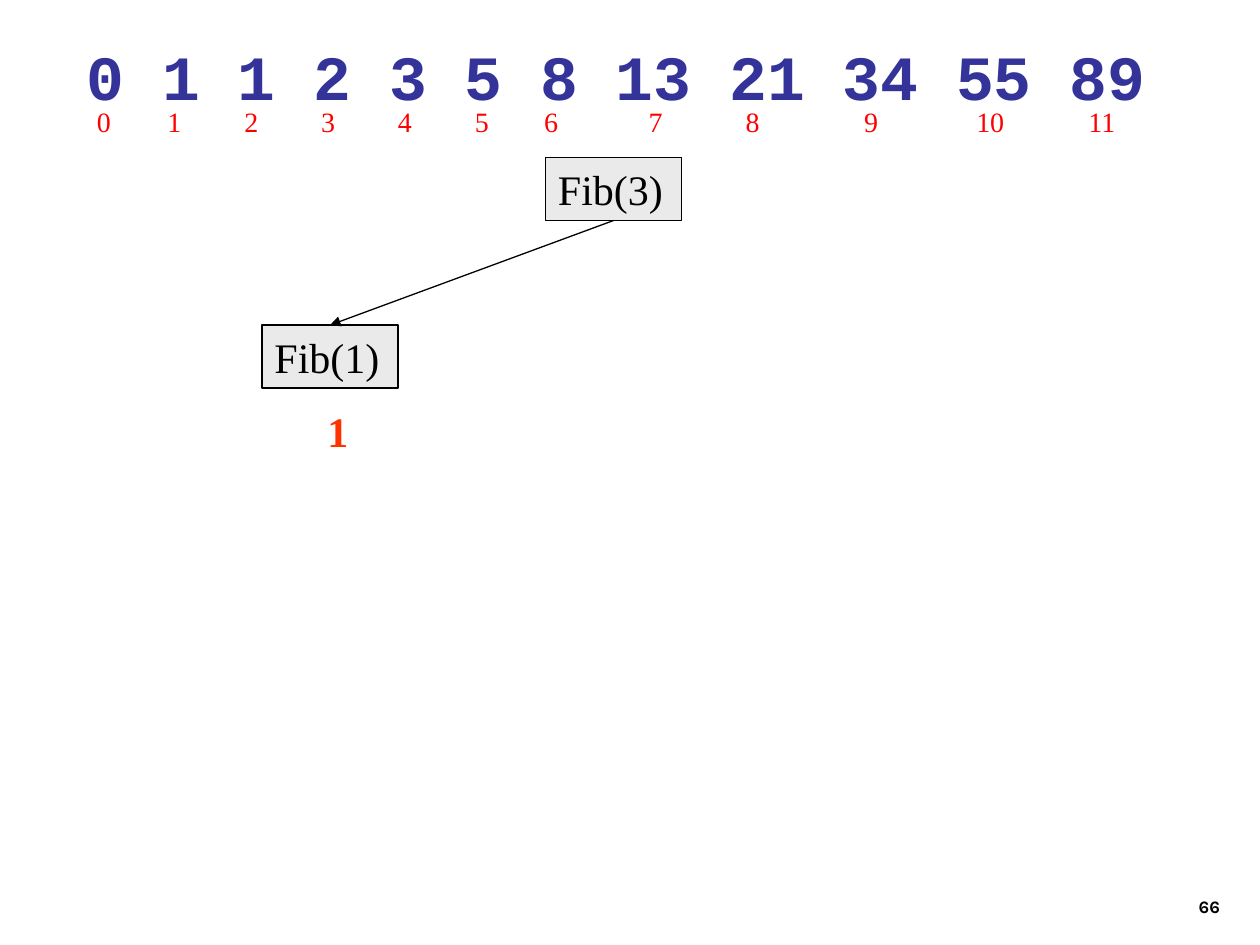
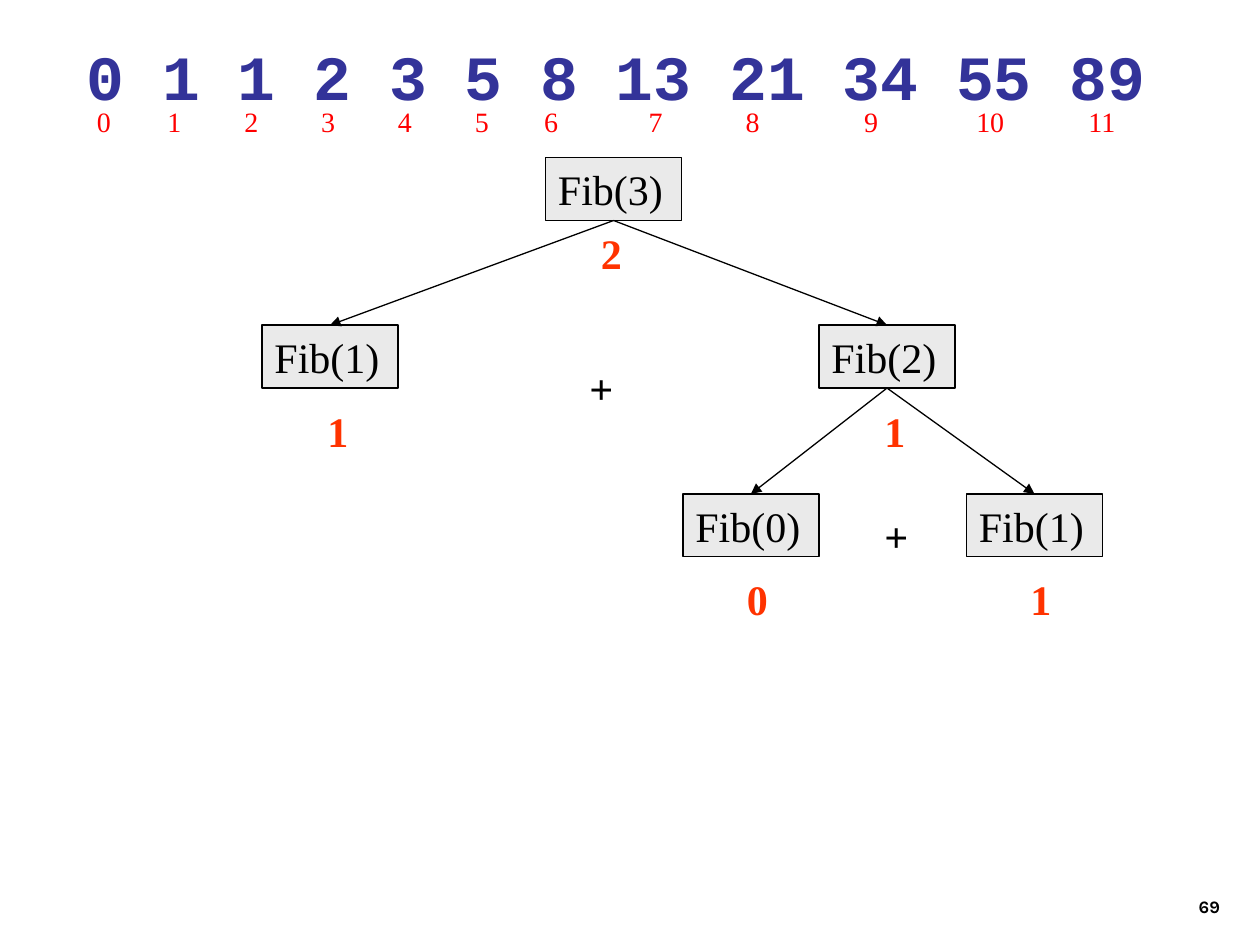
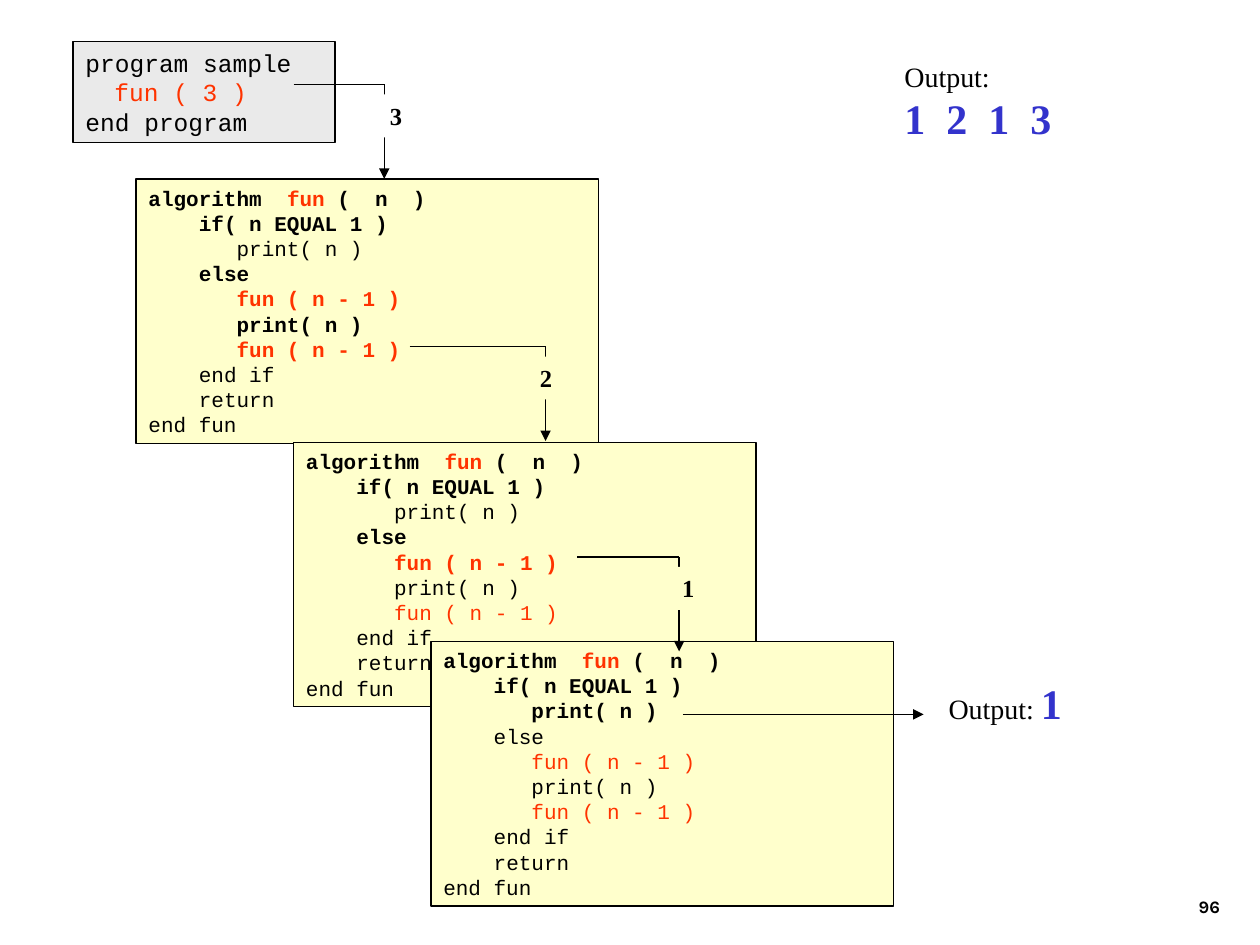
import pptx
import pptx.dml.color
import pptx.enum.shapes
import pptx.enum.text
import pptx.oxml.ns
import pptx.util
import lxml.etree

Inches = pptx.util.Inches
Pt = pptx.util.Pt
qn = pptx.oxml.ns.qn
ALIGN = pptx.enum.text.PP_ALIGN


class Theme:
    serif, mono, sans = "Times New Roman", "Courier New", "Karla"
    black, white = "000000", "FFFFFF"
    gray, cream = "EAEAEA", "FFFFCC"
    accent, red = "FF3300", "FF0000"
    indigo, blue = "333399", "3333CC"
    title, body, index, program, code, number = 36, 24, 16, 14, 12, 10
    line = 0.75


def add_text(s, at, lines, size, font=Theme.serif, color=Theme.black, bold=False, fill=None,
             border=False, wrap=True, before=0, align=ALIGN.LEFT, grow=True):
    box = [Inches(v) for v in at]
    if fill:
        sp = s.shapes.add_shape(pptx.enum.shapes.MSO_SHAPE.RECTANGLE, *box)
        sp.shadow.inherit = False
        sp.fill.solid()
        sp.fill.fore_color.rgb = pptx.dml.color.RGBColor.from_string(fill)
        if border:
            sp.line.color.rgb = pptx.dml.color.RGBColor.from_string(Theme.black)
            sp.line.width = Pt(Theme.line)
        else:
            sp.line.fill.background()
    else:
        sp = s.shapes.add_textbox(*box)
    tf = sp.text_frame
    tf.word_wrap = wrap
    tf.vertical_anchor = pptx.enum.text.MSO_ANCHOR.TOP
    if grow:
        tf.auto_size = pptx.enum.text.MSO_AUTO_SIZE.SHAPE_TO_FIT_TEXT
    for i, (indent, runs) in enumerate(lines):
        p = tf.paragraphs[0] if i == 0 else tf.add_paragraph()
        p.alignment = align
        if before:
            p.space_before = Pt(before)
        if indent:
            p._p.get_or_add_pPr().set("marL", str(Inches(indent)))
        p.font.name = font
        p.font.size = Pt(size)
        p.font.bold = bold
        p.font.color.rgb = pptx.dml.color.RGBColor.from_string(color)
        for text, style in runs:
            r = p.add_run()
            r.text = text
            if "color" in style:
                r.font.color.rgb = pptx.dml.color.RGBColor.from_string(style["color"])
            if "bold" in style:
                r.font.bold = style["bold"]
            if "size" in style:
                r.font.size = Pt(style["size"])
    return sp


def add_line(s, x1, y1, x2, y2, arrow=True):
    c = s.shapes.add_connector(pptx.enum.shapes.MSO_CONNECTOR.STRAIGHT,
                               Inches(x1), Inches(y1), Inches(x2), Inches(y2))
    c.line.color.rgb = pptx.dml.color.RGBColor.from_string(Theme.black)
    c.line.width = Pt(Theme.line)
    if arrow:
        lxml.etree.SubElement(c.line._get_or_add_ln(), qn("a:tailEnd"), type="triangle")
    lxml.etree.SubElement(c._element.spPr, qn("a:effectLst"))
    return c


prs = pptx.Presentation()
prs.slide_width, prs.slide_height = Inches(10), Inches(7.5)

slides = []
for number in ("66", "69", "96"):
    s = prs.slides.add_slide(prs.slide_layouts[6])
    sp = add_text(s, (7.7, 6.83, 2.08, 0.5), [(0, [(number, {})])], Theme.number,
                  font=Theme.sans, bold=True, align=ALIGN.RIGHT, grow=False)
    sp.text_frame.vertical_anchor = pptx.enum.text.MSO_ANCHOR.BOTTOM
    slides.append(s)

index_stops = (0.56, 1.17, 1.78, 2.39, 3, 3.55, 4.38, 5.15, 6.09, 6.98, 7.87)
node_w, node_h = 1.08, 0.5
nodes = {
    "root": ("Fib(3)", 4.33, 1.25),
    "left": ("Fib(1)", 2.08, 2.58),
    "right": ("Fib(2)", 6.5, 2.58),
    "right_left": ("Fib(0)", 5.42, 3.92),
    "right_right": ("Fib(1)", 7.67, 3.92),
}
values = {"left": ("1", 2.5, 3.17), "root": ("2", 4.67, 1.76), "right": ("1", 6.92, 3.17),
          "right_left": ("0", 5.83, 4.5), "right_right": ("1", 8.08, 4.5)}
edges = [("root", "left"), ("root", "right"), ("right", "right_left"), ("right", "right_right")]
trees = [
    (slides[0], ("root", "left"), ("left",), ()),
    (slides[1], tuple(nodes), tuple(values), ((4.58, 2.83), (6.92, 4))),
]

for s, shown, solved, pluses in trees:
    boxes = {}
    for key in shown:
        label, x, y = nodes[key]
        boxes[key] = add_text(s, (x, y, node_w, node_h), [(0, [(label, {})])], Theme.body,
                              fill=Theme.gray, border=True, before=15)
    for key in solved:
        value, x, y = values[key]
        add_text(s, (x, y, 0.42, 0.5), [(0, [(value, {})])], Theme.body,
                 color=Theme.accent, bold=True, before=15)
    for x, y in pluses:
        add_text(s, (x, y, 0.48, 0.5), [(0, [("+", {})])], Theme.body, bold=True, before=15)
    for parent, child in edges:
        if child in boxes:
            c = add_line(s, 0, 0, 1, 1)
            c.begin_connect(boxes[parent], 2)
            c.end_connect(boxes[child], 0)
    add_text(s, (0.59, 0.25, 8.9, 0.7), [(0, [("0 1 1 2 3 5 8 13 21 34 55 89", {})])],
             Theme.title, font=Theme.mono, color=Theme.indigo, bold=True, wrap=False)
    indices = "\t".join(str(n) for n in range(12))
    sp = add_text(s, (0.67, 0.78, 8.42, 0.37), [(0, [(indices, {})])], Theme.index,
                  color=Theme.red, before=10)
    pPr = sp.text_frame.paragraphs[0]._p.get_or_add_pPr()
    tabs = lxml.etree.Element(qn("a:tabLst"))
    for stop in index_stops:
        lxml.etree.SubElement(tabs, qn("a:tab"), pos=str(Inches(stop)), algn="l")
    pPr.find(qn("a:defRPr")).addprevious(tabs)

s = slides[2]
accent = {"color": Theme.accent}
algorithm = [
    (0, [("algorithm  ", {}), ("fun ", accent), ("(  n  )", {})]),
    (0.4, [("if( n EQUAL 1 )", {})]),
    (0.7, [("print( n )", {})]),
    (0.4, [("else", {})]),
    (0.7, [("fun ( n - 1 )", accent)]),
    (0.7, [("print( n )", {})]),
    (0.7, [("fun ( n - 1 )", accent)]),
    (0.4, [("end if", {})]),
    (0.4, [("return", {})]),
    (0, [("end fun", {})]),
]
calls = [
    (1.08, 1.42, (0, 1, 3, 4, 5, 6)),
    (2.33, 3.51, (0, 1, 3, 4)),
    (3.42, 5.09, (0, 1, 2)),
]
for x, y, executed in calls:
    lines = [(indent, [(text, {**style, "bold": i in executed}) for text, style in runs])
             for i, (indent, runs) in enumerate(algorithm)]
    add_text(s, (x, y, 3.67, 2.1), lines, Theme.code, font=Theme.mono,
             fill=Theme.cream, border=True)

program = [(0, [("program sample", {})]), (0.23, [("fun ( 3 )", accent)]),
           (0, [("end program", {})])]
add_text(s, (0.58, 0.33, 2.08, 0.8), program, Theme.program, font=Theme.mono,
         fill=Theme.gray, border=True)

printed = {"color": Theme.blue, "bold": True, "size": Theme.body}
add_text(s, (7.08, 0.42, 2.42, 0.77),
         [(0, [("Output:", {})]), (0, [("1  2  1  3", printed)])], Theme.index)
add_text(s, (7.43, 5.33, 1.1, 0.5), [(0, [("Output: ", {}), ("1", printed)])],
         Theme.index, wrap=False)
add_line(s, 5.42, 5.67, 7.33, 5.67)

arguments = [
    ("1", 4.58, 5.39, 4.42, 5.17, 0.44, Theme.cream),
    ("3", 2.33, 3.05, 0.67, 2.9, 0.39, Theme.white),
    ("2", 3.25, 4.33, 2.75, 4.04, 0.44, Theme.cream),
]
for value, start, turn, y, label_x, label_w, fill in arguments:
    add_line(s, start, y, turn, y, arrow=False)
    add_line(s, turn, y, turn, y + 0.75)
    add_text(s, (label_x, y + 0.08, label_w, 0.34), [(0, [(value, {})])], Theme.program,
             bold=True, fill=fill, align=ALIGN.RIGHT)

prs.save("out.pptx")
